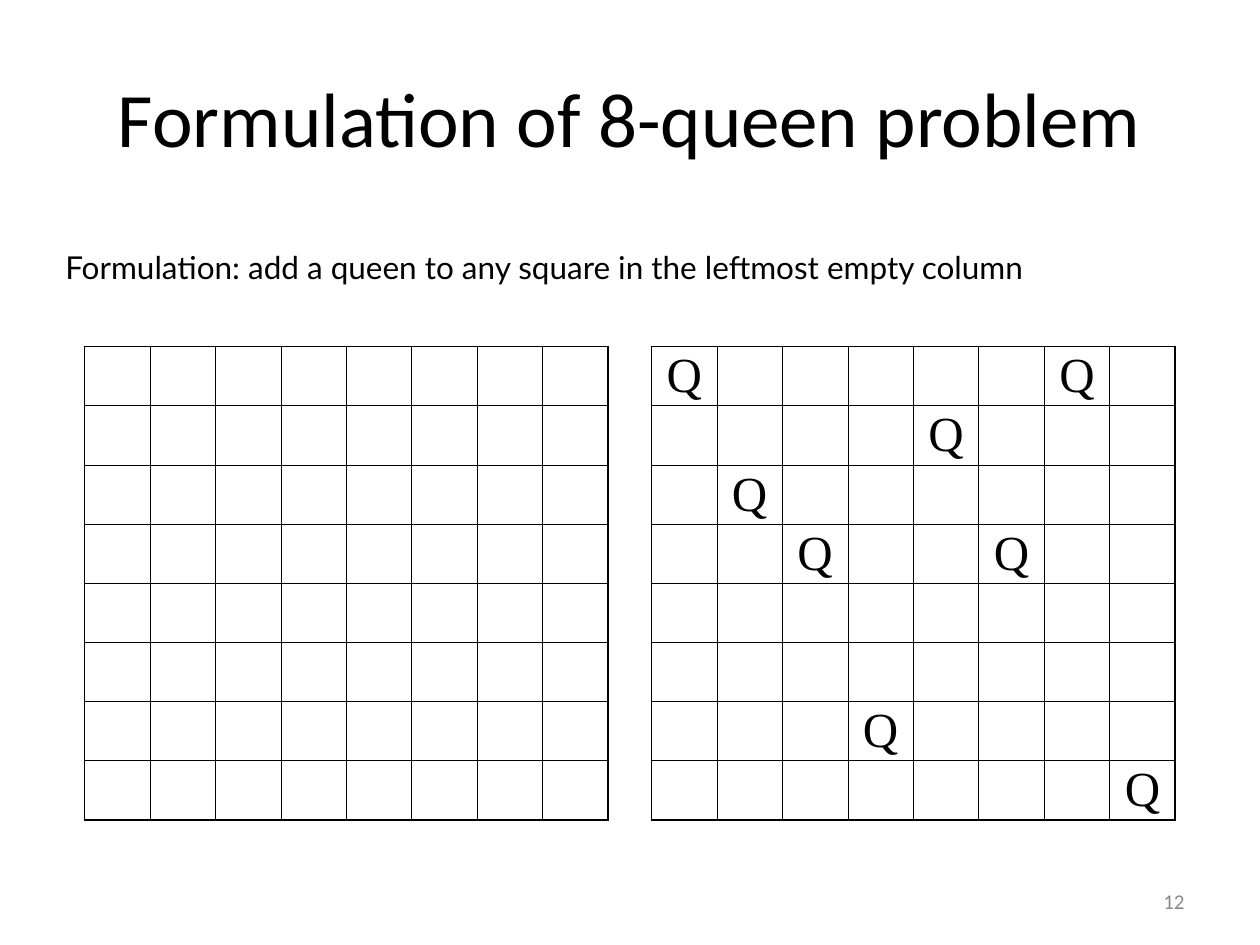
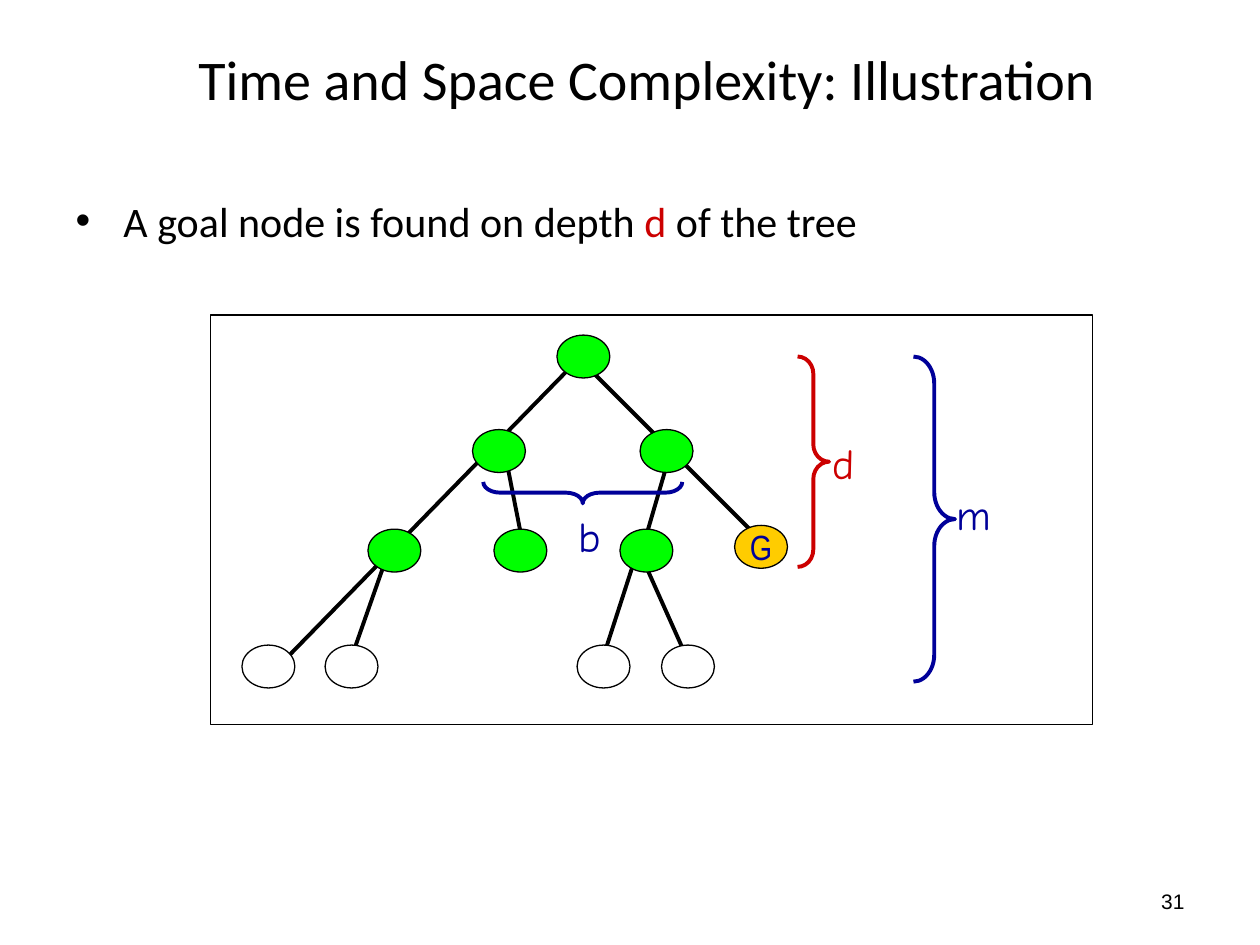
import lxml.etree
import pptx
import pptx.dml.color
import pptx.enum.shapes
import pptx.enum.text
import pptx.oxml.ns
import pptx.util

Inches = pptx.util.Inches
Pt = pptx.util.Pt
RGBColor = pptx.dml.color.RGBColor
Shape = pptx.enum.shapes.MSO_SHAPE
Align = pptx.enum.text.PP_ALIGN
Anchor = pptx.enum.text.MSO_ANCHOR
Auto = pptx.enum.text.MSO_AUTO_SIZE
qn = pptx.oxml.ns.qn

BLACK = RGBColor(0x00, 0x00, 0x00)
WHITE = RGBColor(0xFF, 0xFF, 0xFF)
GRAY = RGBColor(0x89, 0x89, 0x89)
RED = RGBColor(0xCC, 0x00, 0x00)
NAVY = RGBColor(0x00, 0x00, 0x99)
GREEN = RGBColor(0x00, 0xFF, 0x00)
GOLD = RGBColor(0xFF, 0xCC, 0x00)

# Queen board
SIDE = 8
CELL = (0.52, 0.47)
BOARD_TOP = 2.75
BOARDS = [
    (5.17, {(0, 0), (0, 6), (1, 4), (2, 1), (3, 2), (3, 5), (6, 3), (7, 7)}),
    (0.67, set()),
]
THIN, THICK = 0.45, 1.08

# Search tree
GOAL_TEXT = [
    ("A goal node is found on depth ", BLACK),
    ("d", RED),
    (" of the tree", BLACK),
]
FRAME = (1.67, 2.5, 7, 3.25)
NODE = (0.42, 0.34)
LEVELS = [  # top, fill, left edges
    (2.66, GREEN, [4.42]),
    (3.41, GREEN, [3.75, 5.08]),
    (4.2, GREEN, [2.92, 3.92, 4.92]),
    (5.12, WHITE, [1.92, 2.58, 4.58, 5.25]),
]
GOAL = (5.83, 4.17)
LINKS = [  # x1, y1, x2, y2
    (4.58, 2.83, 6.08, 4.33),
    (4.67, 2.77, 2.17, 5.33),
    (4, 3.56, 4.17, 4.42),
    (5.33, 3.56, 5.08, 4.42),
    (3.08, 4.39, 2.75, 5.33),
    (5.08, 4.31, 4.75, 5.33),
    (5.08, 4.39, 5.5, 5.33),
]
BRACES = [  # box, turn, curve, colour, label, label box
    ((7.25, 2.83, 0.33, 2.58), 0, 0.65, NAVY, "m", (7.49, 3.83, 0.47, 0.5)),
    ((4.54, 3.12, 0.17, 1.58), 90, 0.79, NAVY, "b", (4.49, 4, 0.38, 0.5)),
    ((6.33, 2.83, 0.25, 1.67), 0, 0.55, RED, "d", (6.51, 3.42, 0.37, 0.5)),
]


def style(para, size, name, color, align=Align.LEFT):
    para.alignment = align
    for run in para.runs:
        run.font.size = Pt(size)
        run.font.name = name
        run.font.color.rgb = color


def place(shape, box):
    shape.left, shape.top, shape.width, shape.height = map(Inches, box)


def add_text(slide, box, text, size, name, color, align=Align.LEFT,
             anchor=Anchor.TOP, wrap=True):
    frame = slide.shapes.add_textbox(*map(Inches, box)).text_frame
    frame.word_wrap = wrap
    frame.vertical_anchor = anchor
    frame.text = text
    style(frame.paragraphs[0], size, name, color, align)


def add_slide(deck, layout, title, box, size, anchor, number, font, color):
    """Add a slide with its title and its page number."""
    slide = deck.slides.add_slide(deck.slide_layouts[layout])
    head = slide.shapes.title
    place(head, box)
    frame = head.text_frame
    frame.auto_size = Auto.NONE
    frame.vertical_anchor = anchor
    frame.text = title
    style(frame.paragraphs[0], size, "Calibri", BLACK, Align.CENTER)
    add_text(slide, (7.17, 6.95, 2.33, 0.4), number, 12, font, color,
             Align.RIGHT, Anchor.MIDDLE)
    return slide


def add_border(cell, tag, width):
    props = cell._tc.get_or_add_tcPr()
    line = lxml.etree.SubElement(props, qn("a:" + tag), w=str(Pt(width)))
    fill = lxml.etree.SubElement(line, qn("a:solidFill"))
    lxml.etree.SubElement(fill, qn("a:srgbClr"), val=str(BLACK))


def add_board(slide, left, queens):
    """Draw a board whose cells keep their height, with or without a queen."""
    wide, high = CELL
    table = slide.shapes.add_table(
        SIDE, SIDE, Inches(left), Inches(BOARD_TOP),
        Inches(SIDE * wide), Inches(SIDE * high)).table
    table.first_row = table.horz_banding = False
    for col in table.columns:
        col.width = Inches(wide)
    for row in table.rows:
        row.height = Inches(high)
    last = SIDE - 1
    for r in range(SIDE):
        for c in range(SIDE):
            cell = table.cell(r, c)
            edges = [("lnL", c == 0), ("lnR", c == last),
                     ("lnT", r == 0), ("lnB", r == last)]
            for tag, outer in edges:
                add_border(cell, tag, THICK if outer else THIN)
            cell.fill.background()
            cell.margin_top = cell.margin_bottom = 0
            cell.vertical_anchor = Anchor.MIDDLE
            if (r, c) in queens:
                cell.text = "Q"
                style(cell.text_frame.paragraphs[0], 28, "Times New Roman",
                      BLACK, Align.CENTER)


def add_form(slide, kind, box, fill, line=BLACK, width=0.75):
    form = slide.shapes.add_shape(kind, *map(Inches, box))
    form.shadow.inherit = False
    if fill is None:
        form.fill.background()
    else:
        form.fill.solid()
        form.fill.fore_color.rgb = fill
    form.line.color.rgb = line
    form.line.width = Pt(width)
    return form


def add_link(slide, ends):
    link = slide.shapes.add_connector(
        pptx.enum.shapes.MSO_CONNECTOR.STRAIGHT, *map(Inches, ends))
    link.line.color.rgb = BLACK
    link.line.width = Pt(2.25)
    lxml.etree.SubElement(link._element.spPr, qn("a:effectLst"))


def fill_body(body):
    place(body, (0.5, 1.5, 9, 1.17))
    frame = body.text_frame
    frame.auto_size = Auto.NONE
    para = frame.paragraphs[0]
    props = para._p.get_or_add_pPr()
    props.set("marL", str(Inches(0.38)))
    props.set("indent", str(-Inches(0.38)))
    lxml.etree.SubElement(props, qn("a:buChar"), char="•")
    para.space_before = Pt(0)
    for text, _ in GOAL_TEXT:
        para.add_run().text = text
    style(para, 24, "Calibri", BLACK)
    for run, (_, color) in zip(para.runs, GOAL_TEXT):
        run.font.color.rgb = color


def add_tree(slide):
    add_form(slide, Shape.RECTANGLE, FRAME, WHITE)
    for ends in LINKS:
        add_link(slide, ends)
    for top, fill, lefts in LEVELS:
        for left in lefts:
            add_form(slide, Shape.OVAL, (left, top) + NODE, fill)
    frame = add_form(slide, Shape.OVAL, GOAL + NODE, GOLD).text_frame
    frame.word_wrap = False
    frame.vertical_anchor = Anchor.MIDDLE
    frame.text = "G"
    style(frame.paragraphs[0], 20, "Arial Narrow", NAVY, Align.CENTER)
    for box, turn, curve, color, label, spot in BRACES:
        brace = add_form(slide, Shape.RIGHT_BRACE, box, None, color, 2.25)
        brace.adjustments[0] = curve
        brace.rotation = turn
        add_text(slide, spot, label, 24, "Comic Neue", color, wrap=False)


def main():
    deck = pptx.Presentation()
    deck.slide_width, deck.slide_height = Inches(10), Inches(7.5)

    queens = add_slide(deck, 5, "Formulation of 8-queen problem",
                       (0.5, 0.3, 9, 1.25), 44, Anchor.MIDDLE,
                       "12", "Calibri", GRAY)
    add_text(queens, (0.42, 1.92, 8.58, 0.4),
             "Formulation: add a queen to any square in the leftmost "
             "empty column", 18, "Lato", BLACK)
    for left, spots in BOARDS:
        add_board(queens, left, spots)

    tree = add_slide(deck, 1, "Time and Space Complexity: Illustration",
                     (0.55, 0.3, 9.17, 0.87), 32, Anchor.TOP,
                     "31", "Arial", BLACK)
    fill_body(tree.placeholders[1])
    add_tree(tree)

    deck.save("out.pptx")


if __name__ == "__main__":
    main()
